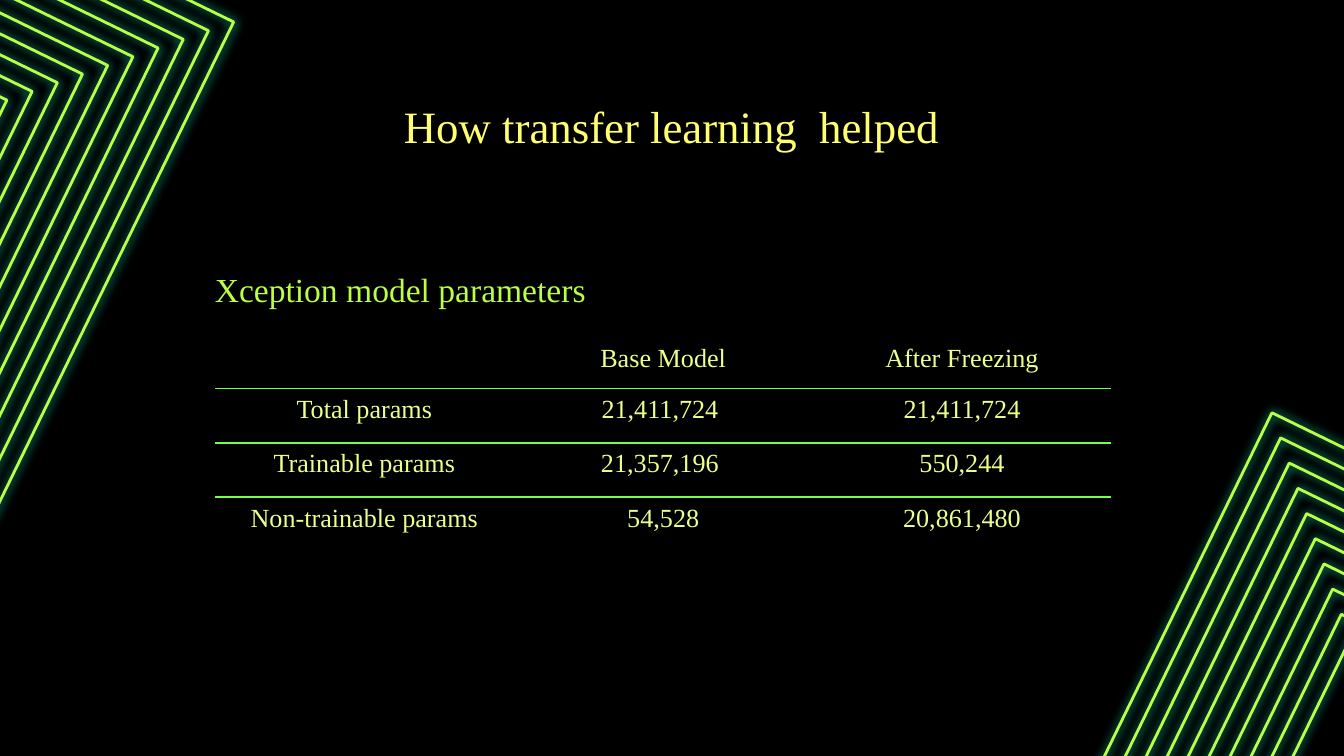
from lxml import etree
from pptx import Presentation
from pptx import util as u
from pptx.dml.color import RGBColor
from pptx.enum import shapes, text
from pptx.oxml import ns

BLACK = RGBColor(0x00, 0x00, 0x00)
LIME = RGBColor(0xBC, 0xFD, 0x45)
TEAL = RGBColor(0x1F, 0xFF, 0xCE)
YELLOW = RGBColor(0xFF, 0xFF, 0x70)
PALE = RGBColor(0xEC, 0xFF, 0x8C)
GREEN = RGBColor(0x77, 0xFF, 0x4A)
NO_TABLE_STYLE = "{2D5ABB26-0587-4C30-8999-92F81FD0307C}"


def child(parent, tag, **attrs):
    return etree.SubElement(parent, ns.qn(tag), {k: str(v) for k, v in attrs.items()})


class Deck:
    font = "Times New Roman"
    unit = u.Inches(0.1)

    def __init__(self, columns, rows):
        self.prs = Presentation()
        self.prs.slide_width = self.grid(columns)
        self.prs.slide_height = self.grid(rows)
        self.slide = self.prs.slides.add_slide(self.prs.slide_layouts[6])
        fill = self.slide.background.fill
        fill.solid()
        fill.fore_color.rgb = BLACK

    def grid(self, n):
        return u.Emu(round(n * self.unit))

    def style_text(self, tf, words, size, color):
        tf.text = words
        p = tf.paragraphs[0]
        p.alignment = text.PP_ALIGN.CENTER
        for r in p.runs:
            r.font.name = self.font
            r.font.size = u.Pt(size)
            r.font.color.rgb = color

    def label(self, x, y, w, h, words, size, color, inset=0.5,
              anchor=text.MSO_ANCHOR.TOP):
        box = self.slide.shapes.add_textbox(*map(self.grid, (x, y, w, h)))
        tf = box.text_frame
        tf.word_wrap = True
        tf.margin_top = tf.margin_bottom = self.grid(inset)
        tf.vertical_anchor = anchor
        self.style_text(tf, words, size, color)

    def glow(self, sp):
        effects = child(sp._element.spPr, "a:effectLst")
        shadow = child(effects, "a:outerShdw", blurRad=u.Pt(5.6), dist=0,
                       dir=0, algn="bl", rotWithShape=0)
        child(child(shadow, "a:srgbClr", val=TEAL), "a:alpha", val=90000)

    def nested_diamonds(self, cx, cy, outer, inner, count):
        group = self.slide.shapes.add_group_shape()
        step = (outer - inner) / (count - 1)
        for i in range(count):
            size = outer - i * step
            box = map(self.grid, (cx - size / 2, cy - size / 2, size, size))
            sp = group.shapes.add_shape(shapes.MSO_SHAPE.DIAMOND, *box)
            sp.rotation = 341
            sp.fill.background()
            sp.line.color.rgb = LIME
            sp.line.width = u.Pt(1.5)
            self.glow(sp)

    def rule(self, cell, tag):
        line = child(cell._tc.get_or_add_tcPr(), tag, w=u.Pt(1))
        child(child(line, "a:solidFill"), "a:srgbClr", val=GREEN)

    def table(self, x, y, w, heights, data, size, color):
        frame = self.slide.shapes.add_table(
            len(data), len(data[0]), *map(self.grid, (x, y, w, sum(heights))))
        table = frame.table
        table.first_row = table.horz_banding = False
        table._tbl.tblPr.find(ns.qn("a:tableStyleId")).text = NO_TABLE_STYLE
        for row, height in zip(table.rows, heights):
            row.height = self.grid(height)
        for i, values in enumerate(data):
            for j, value in enumerate(values):
                cell = table.cell(i, j)
                self.style_text(cell.text_frame, value, size, color)
                if not value:
                    end = cell.text_frame.paragraphs[0]._p.get_or_add_endParaRPr()
                    end.set("sz", str(size * 100))
                if i > 0:
                    self.rule(cell, "a:lnT")
                if i < len(data) - 1:
                    self.rule(cell, "a:lnB")
                cell.fill.background()

    def save(self):
        self.prs.save("out.pptx")


def main():
    deck = Deck(100, 56.25)
    for cx, cy in ((-15.75, 13.05), (106.05, 63.85)):
        deck.nested_diamonds(cx, cy, outer=70.1, inner=34.4, count=10)
    deck.label(26.4, 5.1, 47.1, 8.5, "How transfer learning  helped", 24, YELLOW,
               inset=1, anchor=text.MSO_ANCHOR.MIDDLE)
    deck.table(16, 25.1, 66.7, (3.8, 4.05, 4.05, 4.05), (
        ("", "Base Model", "After Freezing"),
        ("Total params", "21,411,724 ", "21,411,724"),
        ("Trainable params", "21,357,196 ", "550,244"),
        ("Non-trainable params", "54,528", "20,861,480"),
    ), 14, PALE)
    deck.label(13, 19.5, 33.6, 4, "Xception model parameters", 18, LIME)
    deck.save()


if __name__ == "__main__":
    main()
